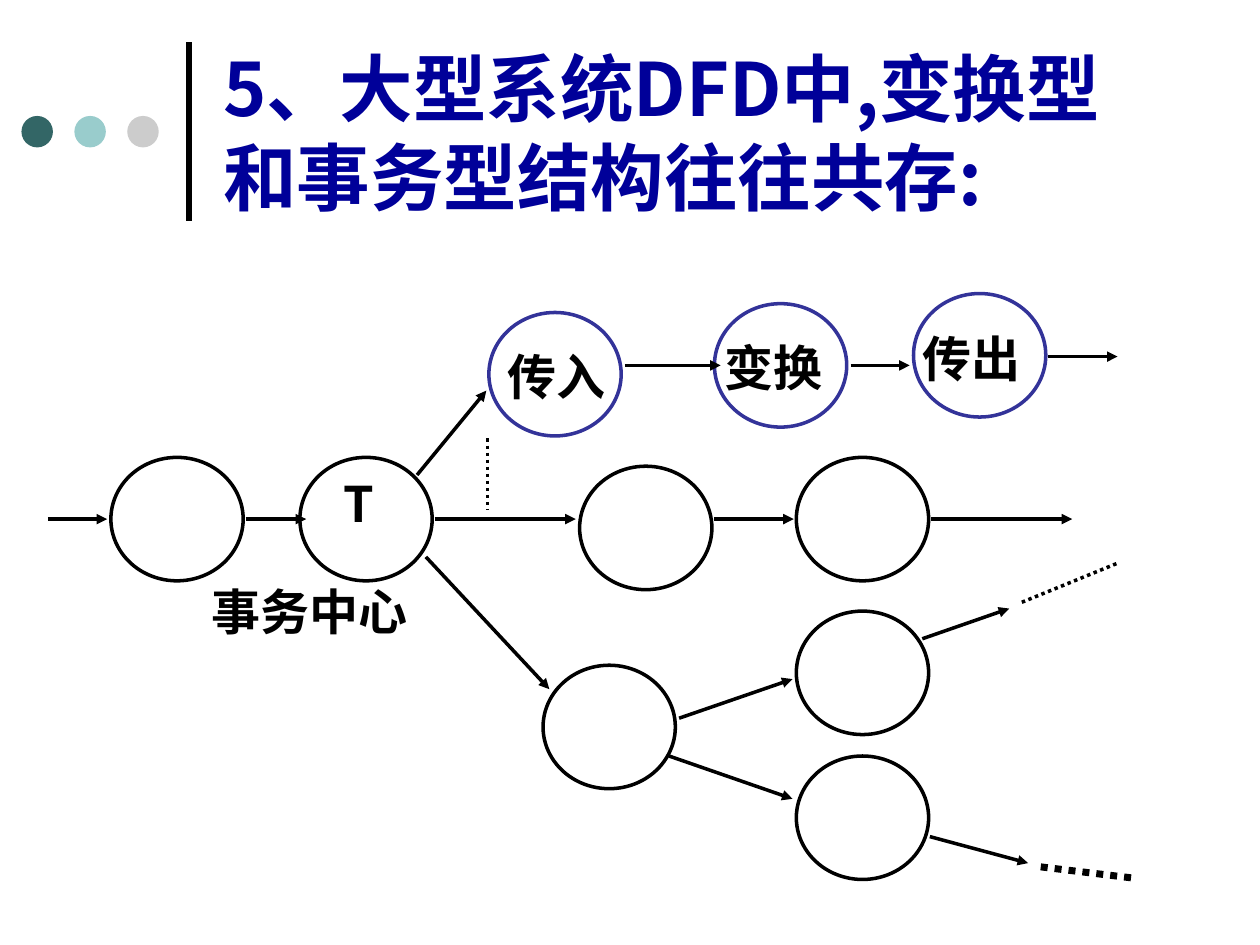
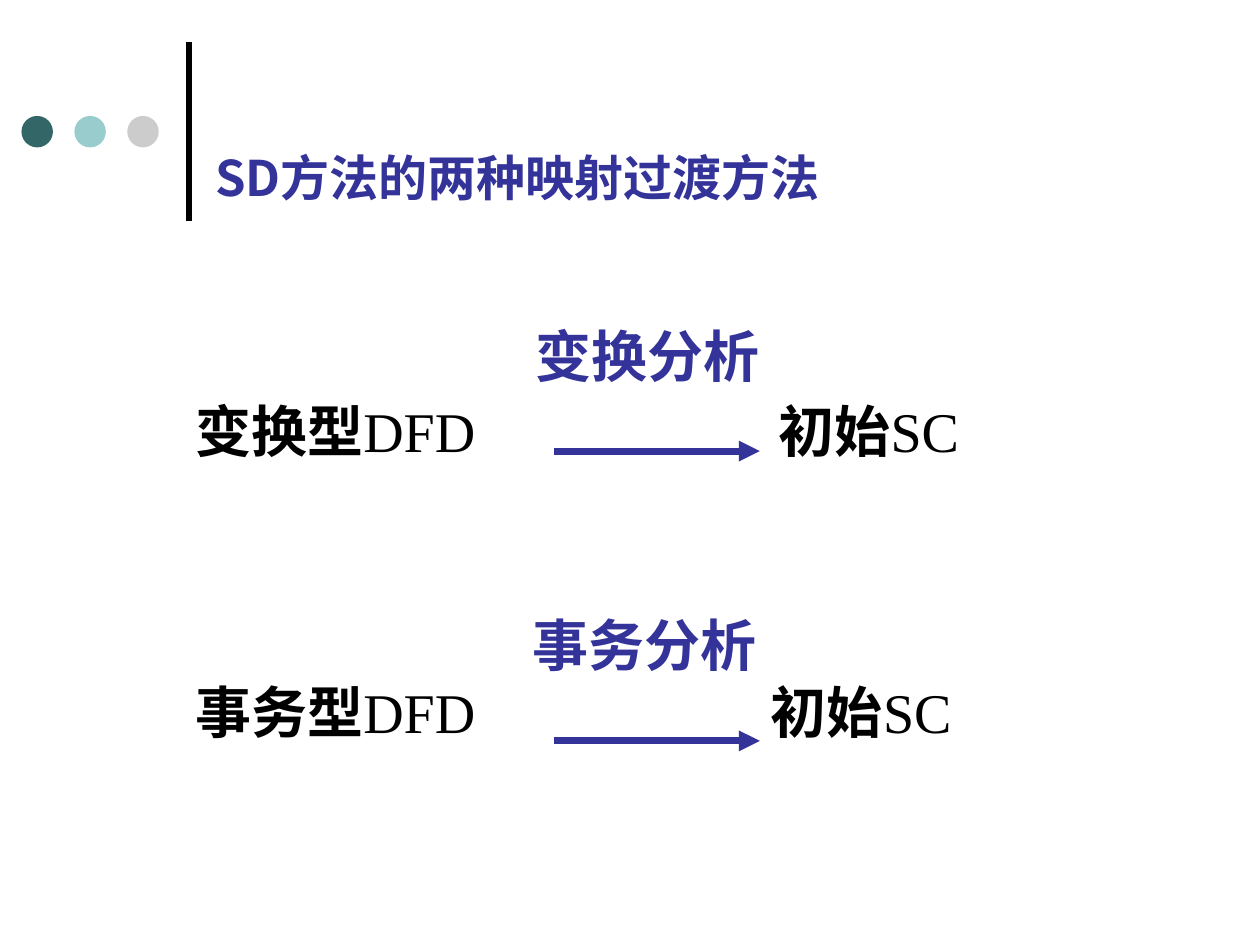
from lxml.etree import SubElement
from pptx import Presentation
from pptx.dml.color import RGBColor
from pptx.enum.dml import MSO_LINE
from pptx.enum.shapes import MSO_CONNECTOR, MSO_SHAPE
from pptx.enum.text import MSO_ANCHOR, MSO_AUTO_SIZE, PP_ALIGN
from pptx.oxml.ns import qn
from pptx.util import Inches, Pt

COLORS = {
    "ink": "000000",
    "paper": "FFFFFF",
    "navy": "000099",
    "indigo": "333399",
    "pine": "336666",
    "aqua": "99CCCC",
    "silver": "CCCCCC",
}
SANS = "Noto Sans CJK SC"
SERIF = "Times New Roman"


def rgb(name):
    return RGBColor.from_string(COLORS[name])


class Deck:
    def __init__(self):
        self.presentation = Presentation()
        self.presentation.slide_width = Inches(10)
        self.presentation.slide_height = Inches(7.5)
        self.layout = self.presentation.slide_layouts[5]
        self.slide = None

    def new_slide(self):
        self.slide = self.presentation.slides.add_slide(self.layout)

    def add_layout_marks(self):
        marks = [self.line((1.5, 1.75), (1.5, 0.33), width=3, arrow=False)]
        for i, color in enumerate(("pine", "aqua", "silver")):
            marks.append(self.circle(0.17 + 0.42 * i, 0.92, 0.25, 0.25, fill=color))
        for mark in marks:
            self.layout.shapes.element.append(mark.element)

    def style(self, font, size, color, bold=True, face=SANS):
        font.size = Pt(size)
        font.bold = bold
        font.name = face
        font.color.rgb = rgb(color)

    def east_asian(self, paragraph):
        for props in list(paragraph._p.iter(qn("a:defRPr"), qn("a:rPr"))):
            if props.find(qn("a:latin")) is not None:
                SubElement(props, qn("a:ea")).set("typeface", SANS)

    def title(self, text, left, top, width, height, size, color, anchor):
        title = self.slide.shapes.title
        title.left, title.top = Inches(left), Inches(top)
        title.width, title.height = Inches(width), Inches(height)
        frame = title.text_frame
        frame.text = text
        frame.word_wrap = True
        frame.auto_size = MSO_AUTO_SIZE.NONE
        frame.vertical_anchor = anchor
        heading = frame.paragraphs[0]
        heading.alignment = PP_ALIGN.LEFT
        self.style(heading.font, size, color)
        self.east_asian(heading)

    def label(self, text, left, top, width, height, size=28, color="ink",
              wrap=True, serif_text=None):
        box = self.slide.shapes.add_textbox(
            Inches(left), Inches(top), Inches(width), Inches(height))
        frame = box.text_frame
        frame.word_wrap = wrap
        frame.auto_size = MSO_AUTO_SIZE.SHAPE_TO_FIT_TEXT
        paragraph = frame.paragraphs[0]
        run = paragraph.add_run()
        run.text = text
        if serif_text:
            self.style(run.font, size, color)
            serif_run = paragraph.add_run()
            serif_run.text = serif_text
            self.style(serif_run.font, size, color, bold=False, face=SERIF)
        else:
            self.style(paragraph.font, size, color)
        self.east_asian(paragraph)

    def circle(self, left, top, width=1.05, height=0.98, fill="paper", outline=None):
        circle = self.slide.shapes.add_shape(
            MSO_SHAPE.OVAL, Inches(left), Inches(top), Inches(width), Inches(height))
        circle.shadow.inherit = False
        circle.fill.solid()
        circle.fill.fore_color.rgb = rgb(fill)
        if outline:
            circle.line.color.rgb = rgb(outline)
            circle.line.width = Pt(2)
        else:
            circle.line.fill.background()
        return circle

    def line(self, start, end, color="ink", width=2, arrow=True, dotted=False):
        line = self.slide.shapes.add_connector(
            MSO_CONNECTOR.STRAIGHT, *(Inches(v) for v in (*start, *end)))
        line.line.color.rgb = rgb(color)
        line.line.width = Pt(width)
        if dotted:
            line.line.dash_style = MSO_LINE.ROUND_DOT
        if arrow:
            SubElement(line.line._get_or_add_ln(), qn("a:tailEnd")).set("type", "triangle")
        SubElement(line.element.spPr, qn("a:effectLst"))
        return line


def mixed_structure(deck):
    deck.title("5、大型系统DFD中,变换型和事务型结构往往共存:",
               1.67, 0.21, 7.67, 1.67, 42, "navy", MSO_ANCHOR.MIDDLE)

    transform_steps = ((3.88, 2.48), (5.67, 2.41), (7.25, 2.33))
    processes = ((0.88, 3.63), (2.38, 3.63), (4.6, 3.7), (6.32, 3.63),
                 (4.31, 5.28), (6.32, 4.85), (6.32, 6))
    for places, outline in ((processes, "ink"), (transform_steps, "indigo")):
        for left, top in places:
            deck.circle(left, top, outline=outline)

    for start, end in ((0.38, 0.85), (1.95, 2.43), (3.45, 4.57), (5.67, 6.3), (7.39, 8.51)):
        deck.line((start, 4.12), (end, 4.12))
    for start, end, y in ((4.96, 5.72, 2.9), (6.75, 7.22, 2.9), (8.32, 8.87, 2.83)):
        deck.line((start, y), (end, y))
    branches = (
        ((3.31, 3.77), (3.86, 3.1)),
        ((3.38, 4.42), (4.36, 5.47)),
        ((5.39, 5.7), (6.29, 5.39)),
        ((5.31, 6), (6.29, 6.34)),
        ((7.32, 5.07), (8.01, 4.83)),
        ((7.38, 6.64), (8.16, 6.85)),
    )
    for start, end in branches:
        deck.line(start, end)
    continuations = (
        ((3.87, 3.48), (3.87, 4.04), 2),
        ((8.11, 4.78), (8.87, 4.47), 2),
        ((8.26, 6.88), (9, 6.97), 4),
    )
    for start, end, width in continuations:
        deck.line(start, end, width=width, arrow=False, dotted=True)

    deck.label("T", 2.63, 3.71, 0.42, 0.56, wrap=False)
    deck.label("事务中心", 1.58, 4.57, 2.5, 0.56)
    for step, left, top in (("传入", 3.93, 2.7), ("变换", 5.65, 2.63), ("传出", 7.22, 2.56)):
        deck.label(step, left, top, 1.09, 0.56)


def mapping_methods(deck):
    deck.title("SD方法的两种映射过渡方法",
               1.61, 0.44, 5.63, 1.25, 28, "indigo", MSO_ANCHOR.BOTTOM)
    mappings = (
        ("变换型", "变换分析", 2.5, 3.1, 4.15, 6.08),
        ("事务型", "事务分析", 4.8, 5.33, 4.13, 6.02),
    )
    for source, analysis, analysis_top, row_top, analysis_left, result_left in mappings:
        arrow_y = analysis_top + 1.08
        deck.line((4.4, arrow_y), (6.03, arrow_y), color="indigo", width=4)
        deck.label(source, 1.45, row_top, 2.53, 0.63, 32, wrap=False, serif_text="DFD")
        deck.label("初始", result_left, row_top, 1.74, 0.63, 32, wrap=False, serif_text="SC")
        deck.label(analysis, analysis_left, analysis_top, 2.35, 0.63, 32, "indigo")


def main():
    deck = Deck()
    deck.new_slide()
    deck.add_layout_marks()
    mixed_structure(deck)
    deck.new_slide()
    mapping_methods(deck)
    deck.presentation.save("out.pptx")


if __name__ == "__main__":
    main()
